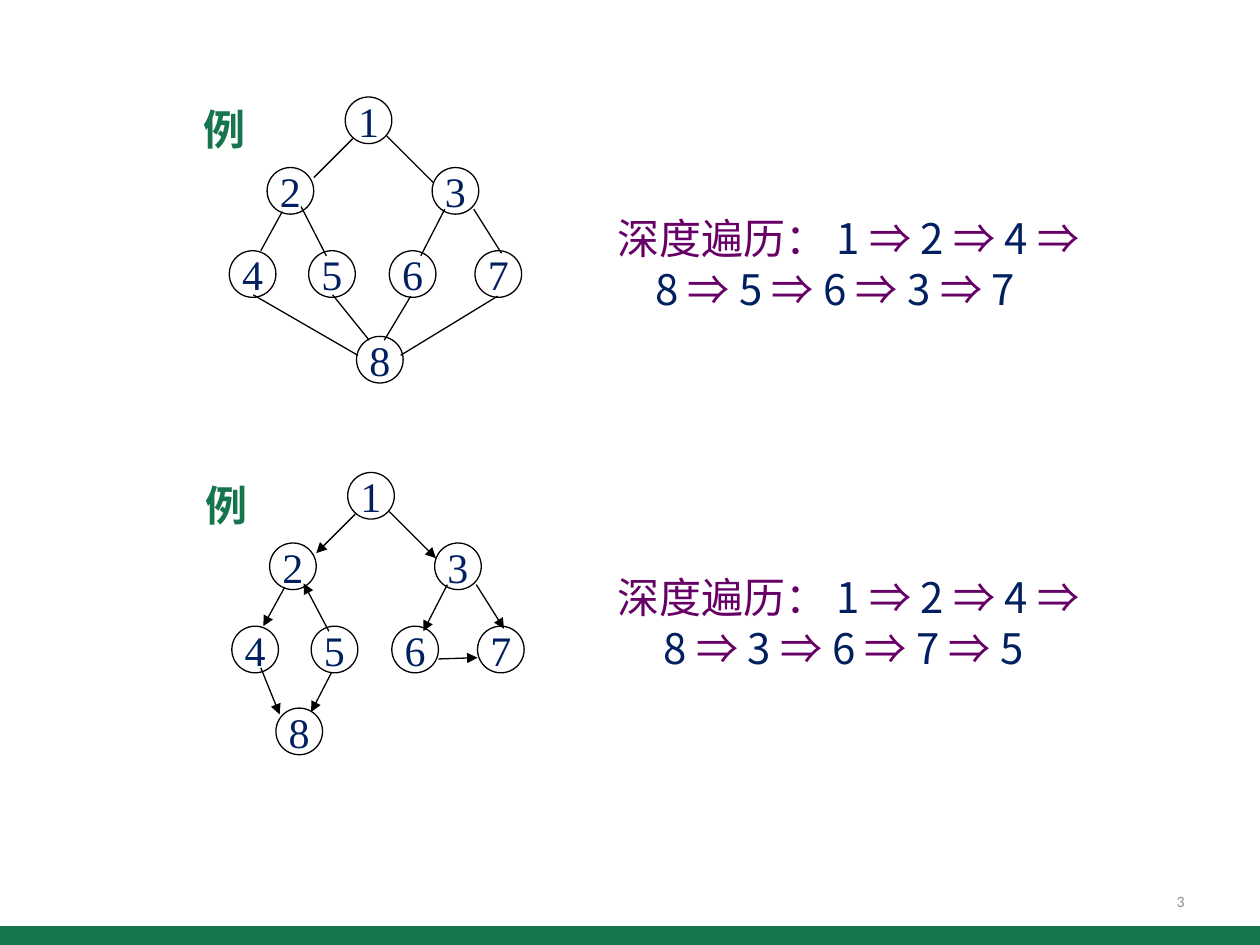
import pptx
import pptx.dml.color
import pptx.enum.shapes
import pptx.enum.text
import pptx.oxml
import pptx.oxml.ns
import pptx.util
from lxml import etree

COLUMNS, ROWS = 1000, 750
WIDTH, HEIGHT = pptx.util.Inches(10), pptx.util.Inches(7.5)
CJK, SERIF = "Noto Sans CJK SC", "Times New Roman"
GREEN, NAVY, PURPLE, GREY, BLACK = "16754D", "002060", "660066", "8C8C8C", "000000"
DIAMETER = 37

TREE_NODES = {
    "1": (274, 77), "2": (212, 133), "3": (343, 133),
    "4": (182, 199), "5": (245, 199), "6": (309, 199), "7": (377, 199),
}
TREE_EDGES = {
    "12": (280, 110, 249, 141), "13": (307, 108, 344, 145),
    "24": (224, 168, 207, 199), "25": (239, 164, 259, 203),
    "36": (353, 166, 334, 203), "37": (376, 166, 398, 201),
}
UNDIRECTED_EDGES = TREE_EDGES | {
    "48": (201, 234, 284, 282), "58": (264, 234, 293, 270),
    "68": (326, 235, 305, 270), "78": (395, 235, 318, 282),
}
DIRECTED_EDGES = TREE_EDGES | {
    "25": (259, 203, 239, 165),
    "48": (205, 232, 220, 269), "58": (261, 236, 245, 267),
    "67": (346, 225, 377, 224),
}


def across(columns):
    """Turn grid columns into a length."""
    return round(WIDTH * columns / COLUMNS)


def down(rows):
    """Turn grid rows into a length."""
    return round(HEIGHT * rows / ROWS)


def place(left, top, width, height):
    """Turn a grid cell range into left, top, width and height."""
    return across(left), down(top), across(width), down(height)


def colour(hex_code):
    """Return the colour for a hex string."""
    return pptx.dml.color.RGBColor.from_string(hex_code)


def add_run(paragraph, words, hex_code, size=24, face=CJK, bold=False):
    """Append one styled run to a paragraph."""
    run = paragraph.add_run()
    run.text = words
    run.font.size = pptx.util.Pt(size)
    run.font.bold = bold
    run.font.color.rgb = colour(hex_code)
    run.font.name = face
    east_asian = etree.SubElement(run.font._element, pptx.oxml.ns.qn("a:ea"))
    east_asian.set("typeface", face)


def add_caption(shapes, cell, words, hex_code, align, **style):
    """Add a single-line text box, centred vertically."""
    frame = shapes.add_textbox(*place(*cell)).text_frame
    frame.word_wrap = True
    frame.vertical_anchor = pptx.enum.text.MSO_ANCHOR.MIDDLE
    frame.paragraphs[0].alignment = align
    add_run(frame.paragraphs[0], words, hex_code, **style)


def add_node(shapes, left, top, number):
    """Draw a numbered circle."""
    node = shapes.add_shape(pptx.enum.shapes.MSO_SHAPE.OVAL,
                            *place(left, top, DIAMETER, DIAMETER))
    node.shadow.inherit = False
    node.fill.background()
    node.line.color.rgb = colour(BLACK)
    node.line.width = pptx.util.Pt(0.75)
    frame = node.text_frame
    frame.word_wrap = False
    frame.vertical_anchor = pptx.enum.text.MSO_ANCHOR.MIDDLE
    frame.margin_left = frame.margin_right = frame.margin_top = frame.margin_bottom = 0
    frame.paragraphs[0].alignment = pptx.enum.text.PP_ALIGN.CENTER
    add_run(frame.paragraphs[0], number, NAVY, face=SERIF)


def add_edge(shapes, x1, y1, x2, y2, directed):
    """Draw an edge, with an arrowhead at its end when directed."""
    edge = shapes.add_connector(pptx.enum.shapes.MSO_CONNECTOR.STRAIGHT,
                                across(x1), down(y1), across(x2), down(y2))
    edge.line.color.rgb = colour(BLACK)
    edge.line.width = pptx.util.Pt(0.75)
    if directed:
        arrowhead = etree.SubElement(edge.line._get_or_add_ln(), pptx.oxml.ns.qn("a:tailEnd"))
        arrowhead.set("type", "triangle")
    etree.SubElement(edge._element.spPr, pptx.oxml.ns.qn("a:effectLst"))


def add_graph(slide, shift_x, shift_y, last_node, edges, directed):
    """Draw one labelled example graph as a group."""
    shapes = slide.shapes.add_group_shape().shapes
    for number, (left, top) in (TREE_NODES | {"8": last_node}).items():
        add_node(shapes, left + shift_x, top + shift_y, number)
    for x1, y1, x2, y2 in edges.values():
        add_edge(shapes, x1 + shift_x, y1 + shift_y, x2 + shift_x, y2 + shift_y, directed)
    add_caption(shapes, (151 + shift_x, 77 + shift_y, 54, 51), "例", GREEN,
                pptx.enum.text.PP_ALIGN.CENTER, bold=True)


def add_traversal(slide, top, width, order, hang):
    """Write a depth-first order, broken after its third node."""
    frame = slide.shapes.add_textbox(*place(480, top, width, 91)).text_frame
    frame.word_wrap = True
    paragraph = frame.paragraphs[0]
    paragraph.line_spacing = pptx.util.Pt(28.8)
    properties = paragraph._p.get_or_add_pPr()
    properties.set("marL", str(across(hang)))
    properties.set("indent", str(-across(hang)))
    add_run(paragraph, "深度遍历： ", PURPLE)
    for step, number in enumerate(order, 1):
        add_run(paragraph, number, NAVY)
        if step == 3:
            add_run(paragraph, " ⇒", PURPLE)
            paragraph.add_line_break()
        elif step < len(order):
            add_run(paragraph, " ⇒ ", PURPLE)


def add_footer(slide):
    """Draw the bottom band and the page number."""
    band = slide.shapes.add_shape(pptx.enum.shapes.MSO_SHAPE.RECTANGLE,
                                  *place(0, 735, COLUMNS, 18))
    band.shadow.inherit = False
    band.fill.solid()
    band.fill.fore_color.rgb = colour(GREEN)
    band.line.fill.background()
    add_caption(slide.shapes, (717, 695, 233, 40), "3", GREY,
                pptx.enum.text.PP_ALIGN.RIGHT, size=9, face="Calibri")


def main():
    """Build the slide and save it."""
    deck = pptx.Presentation()
    deck.slide_width, deck.slide_height = WIDTH, HEIGHT
    slide = deck.slides.add_slide(deck.slide_layouts[6])
    add_footer(slide)
    add_graph(slide, 0, 0, (283, 267), UNDIRECTED_EDGES, directed=False)
    add_traversal(slide, 164, 439, "12485637", hang=30)
    add_graph(slide, 2, 298, (217, 264), DIRECTED_EDGES, directed=True)
    add_traversal(slide, 449, 456, "12483675", hang=37)
    deck.save("out.pptx")


if __name__ == "__main__":
    main()
